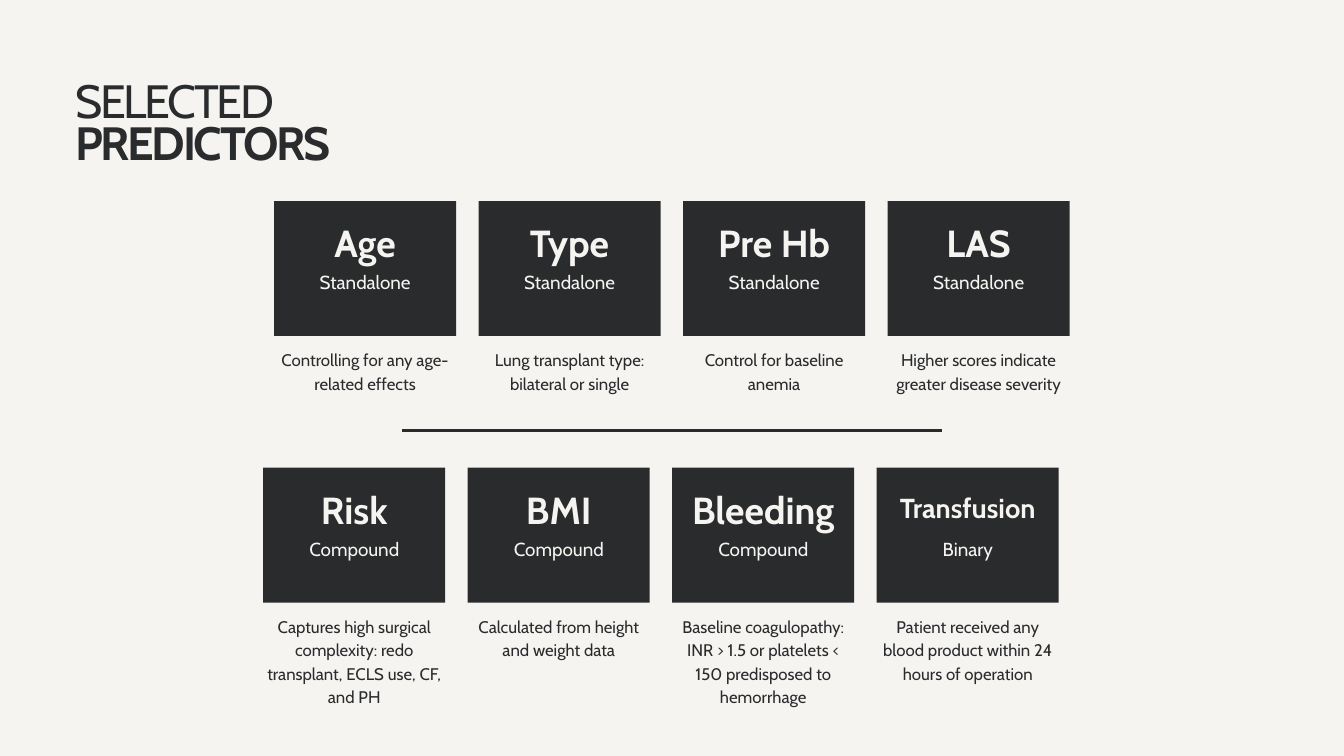
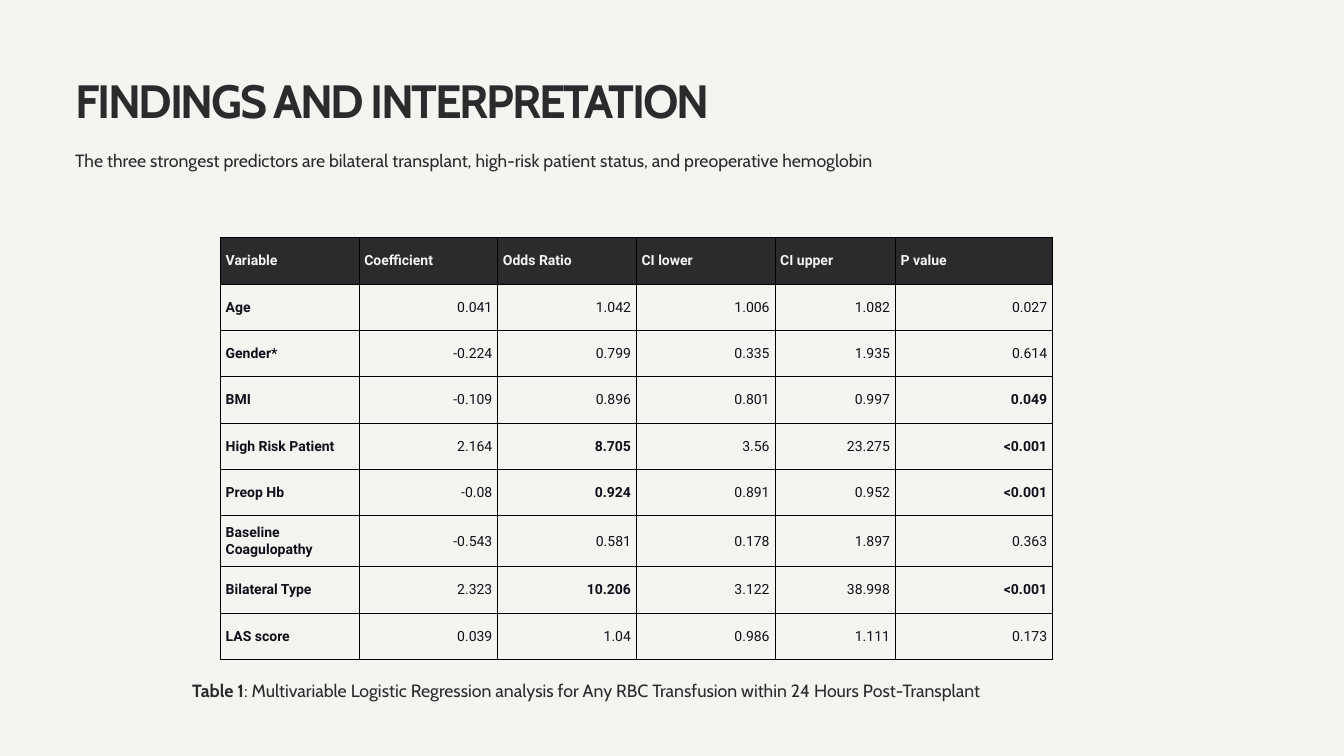
from lxml import etree
from pptx import Presentation, util as u
from pptx.dml.color import RGBColor
from pptx.enum import shapes, text
from pptx.oxml.ns import qn

DARK = RGBColor(0x29, 0x2B, 0x2D)
LIGHT = RGBColor(0xF6, 0xF4, 0xF1)
INK = RGBColor(0x0E, 0x10, 0x1A)
BLACK = RGBColor(0, 0, 0)
LEFT, MID, RIGHT = text.PP_ALIGN.LEFT, text.PP_ALIGN.CENTER, text.PP_ALIGN.RIGHT
EDGE = 2.84
CARD_W, CARD_H, STEP = 6.88, 5.1, 7.73

ROWS = [
    (10.36, 7.6, [
        ("Age", "Standalone", "Controlling for any age-related effects"),
        ("Type", "Standalone", "Lung transplant type: bilateral or single"),
        ("Pre Hb", "Standalone", "Control for baseline anemia"),
        ("LAS", "Standalone", "Higher scores indicate greater disease severity"),
    ]),
    (9.95, 17.68, [
        ("Risk", "Compound",
         "Captures high surgical complexity: redo transplant, ECLS use, CF, and PH"),
        ("BMI", "Compound", "Calculated from height and weight data"),
        ("Bleeding", "Compound",
         "Baseline coagulopathy: INR > 1.5 or platelets < 150 predisposed to hemorrhage"),
        ("Transfusion", "Binary",
         "Patient received any blood product within 24 hours of operation"),
    ]),
]

WIDTHS = [5.24, 5.24, 5.24, 5.24, 4.55, 5.94]
STRONG = {"0.049", "8.705", "0.924", "10.206", "<0.001"}
DATA = [
    ["Variable", "Coefficient", "Odds Ratio", "CI lower", "CI upper", "P value"],
    ["Age", "0.041", "1.042", "1.006", "1.082", "0.027"],
    ["Gender*", "-0.224", "0.799", "0.335", "1.935", "0.614"],
    ["BMI", "-0.109", "0.896", "0.801", "0.997", "0.049"],
    ["High Risk Patient", "2.164", "8.705", "3.56", "23.275", "<0.001"],
    ["Preop Hb", "-0.08", "0.924", "0.891", "0.952", "<0.001"],
    ["Baseline\nCoagulopathy", "-0.543", "0.581", "0.178", "1.897", "0.363"],
    ["Bilateral Type", "2.323", "10.206", "3.122", "38.998", "<0.001"],
    ["LAS score", "0.039", "1.04", "0.986", "1.111", "0.173"],
]


def write(frame, words, size, lead, color=DARK, font="Cabin", align=LEFT,
          bold=False, track=0):
    """Fill a text frame; words between bars are bold."""
    for i, line in enumerate(words.split("\n")):
        para = frame.add_paragraph() if i else frame.paragraphs[0]
        para.alignment = align
        para.line_spacing = u.Pt(lead)
        for j, part in enumerate(line.split("|")):
            if not part:
                continue
            run = para.add_run()
            run.text = part
            run.font.name = font
            run.font.size = u.Pt(size)
            run.font.bold = bold or j % 2 == 1
            run.font.color.rgb = color
            if track:
                run._r.get_or_add_rPr().set("spc", str(track))


def border(cell):
    props = cell._tc.get_or_add_tcPr()
    for i, side in enumerate(("lnL", "lnR", "lnT", "lnB")):
        line = etree.Element(qn("a:" + side), w=str(u.Pt(1)))
        fill = etree.SubElement(line, qn("a:solidFill"))
        etree.SubElement(fill, qn("a:srgbClr"), val=str(BLACK))
        props.insert(i, line)


class Deck:
    def __init__(self):
        self.prs = Presentation()
        self.prs.slide_width, self.prs.slide_height = u.Cm(50.8), u.Cm(28.58)
        back = self.prs.slide_master.background.fill
        back.solid()
        back.fore_color.rgb = LIGHT
        self.slide = None

    def page(self, words, width, height):
        self.slide = self.prs.slides.add_slide(self.prs.slide_layouts[5])
        title = self.slide.shapes.title
        title.left, title.top = u.Cm(EDGE), u.Cm(3.23)
        title.width, title.height = u.Cm(width), u.Cm(height)
        self.setup(title.text_frame)
        write(title.text_frame, words, 50, 45, track=-250)

    def setup(self, frame):
        frame.margin_left = frame.margin_right = 0
        frame.margin_top = frame.margin_bottom = 0
        frame.word_wrap = True
        frame.auto_size = text.MSO_AUTO_SIZE.NONE
        frame.vertical_anchor = text.MSO_ANCHOR.TOP

    def label(self, x, y, w, h, words, size, lead, **style):
        box = self.slide.shapes.add_textbox(u.Cm(x), u.Cm(y), u.Cm(w), u.Cm(h))
        self.setup(box.text_frame)
        write(box.text_frame, words, size, lead, **style)

    def card(self, x, y, head, kind, note):
        box = self.slide.shapes.add_shape(
            shapes.MSO_SHAPE.RECTANGLE, u.Cm(x), u.Cm(y), u.Cm(CARD_W), u.Cm(CARD_H))
        box.shadow.inherit = False
        box.fill.solid()
        box.fill.fore_color.rgb = DARK
        box.line.fill.background()
        drop, size, lead = (0.89, 29.4, 35.3) if len(head) > 8 else (0.71, 40.4, 48.5)
        self.label(x, y + drop, CARD_W, 1.7, head, size, lead,
                   color=LIGHT, align=MID, bold=True)
        self.label(x + 0.8, y + 2.64, CARD_W - 1.6, 0.89, kind, 20.2, 24.2,
                   color=LIGHT, align=MID)
        self.label(x, y + 5.5, CARD_W, 3.45, note, 18, 25.2, align=MID)

    def rule(self, x, y, end):
        line = self.slide.shapes.add_connector(
            shapes.MSO_CONNECTOR.STRAIGHT, u.Cm(x), u.Cm(y), u.Cm(end), u.Cm(y))
        line.line.color.rgb = DARK
        line.line.width = u.Pt(3)
        etree.SubElement(line._element.spPr, qn("a:effectLst"))

    def table(self, x, y, data, widths):
        grid = self.slide.shapes.add_table(
            len(data), len(widths), u.Cm(x), u.Cm(y),
            u.Cm(sum(widths)), u.Cm(15.9)).table
        grid.first_row = grid.horz_banding = False
        for col, width in zip(grid.columns, widths):
            col.width = u.Cm(width)
        for r, row in enumerate(data):
            grid.rows[r].height = u.Cm(1.94 if "\n" in row[0] else 1.75)
            for c, words in enumerate(row):
                self.cell(grid.cell(r, c), words, r == 0, c == 0)

    def cell(self, cell, words, top, first):
        cell.margin_left = cell.margin_right = u.Cm(0.2)
        cell.margin_top = cell.margin_bottom = u.Cm(0.2)
        cell.vertical_anchor = text.MSO_ANCHOR.MIDDLE
        if top:
            cell.fill.solid()
            cell.fill.fore_color.rgb = DARK
        else:
            cell.fill.background()
        border(cell)
        write(cell.text_frame, words, 15, 18, font="Roboto",
              color=LIGHT if top else INK,
              align=LEFT if top or first else RIGHT,
              bold=top or first or words in STRONG)


def main():
    deck = Deck()

    deck.page("SELECTED\n|PREDICTORS|", 23.44, 3.28)
    for left, top, cards in ROWS:
        for i, card in enumerate(cards):
            deck.card(left + i * STEP, top, *card)
    deck.rule(15.21, 16.28, 35.59)

    deck.page("|FINDINGS AND INTERPRETATION|", 31.09, 1.73)
    deck.table(8.33, 8.99, DATA, WIDTHS)
    deck.label(7.26, 25.58, 37.72, 2.77,
               "|Table 1|: Multivariable Logistic Regression analysis for "
               "Any RBC Transfusion within 24 Hours Post-Transplant", 19, 26.6)
    deck.label(EDGE, 5.54, 37.72, 2.77,
               "The three strongest predictors are bilateral transplant, "
               "high-risk patient status, and preoperative hemoglobin", 19, 26.6)

    deck.prs.save("out.pptx")


if __name__ == "__main__":
    main()
